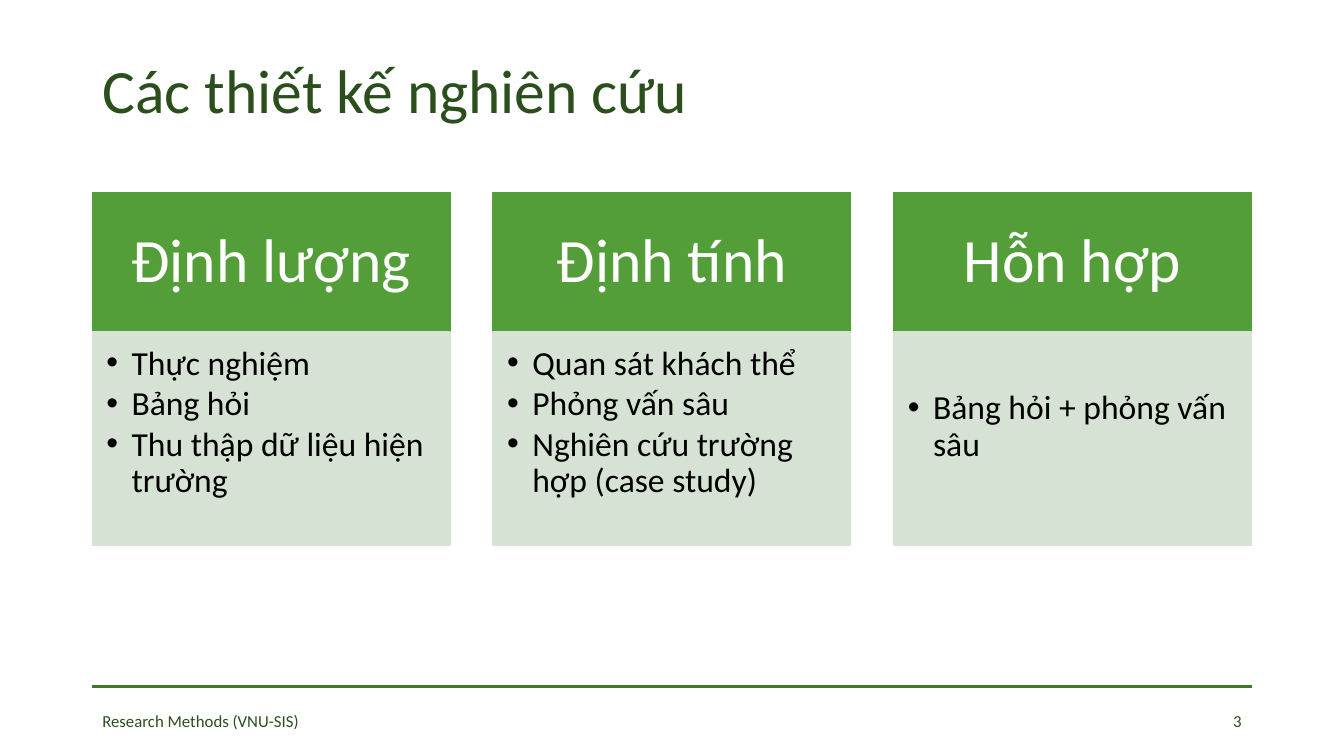
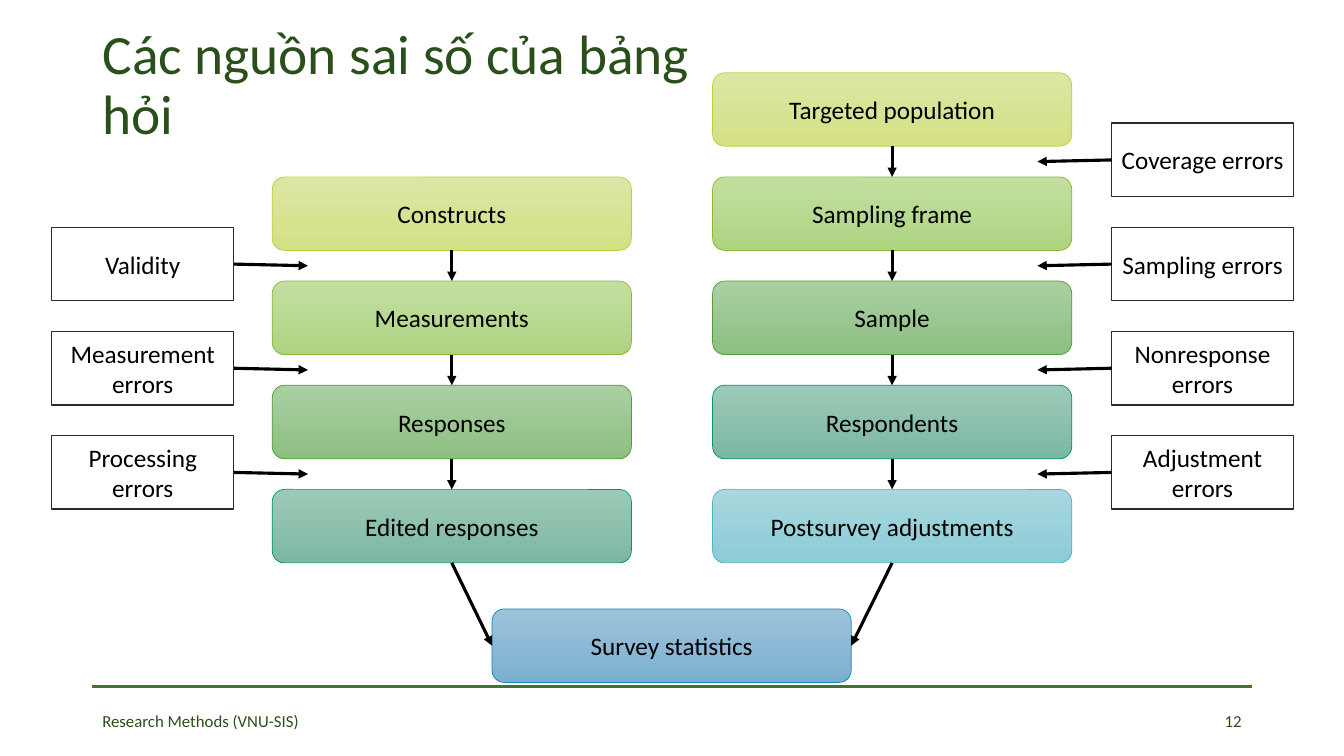
"""Build two slides on research designs and sources of survey error."""
from lxml import etree
from pptx import Presentation
from pptx.dml.color import RGBColor
from pptx.enum.shapes import MSO_CONNECTOR, MSO_SHAPE
from pptx.enum.text import MSO_ANCHOR, MSO_AUTO_SIZE, PP_ALIGN
from pptx.oxml.ns import qn
from pptx.util import Pt

RECT, ROUNDED = MSO_SHAPE.RECTANGLE, MSO_SHAPE.ROUNDED_RECTANGLE
STRAIGHT = MSO_CONNECTOR.STRAIGHT
LEFT, CENTER, RIGHT = PP_ALIGN.LEFT, PP_ALIGN.CENTER, PP_ALIGN.RIGHT
TOP, MIDDLE = MSO_ANCHOR.TOP, MSO_ANCHOR.MIDDLE
NO_AUTOFIT = MSO_AUTO_SIZE.NONE
TOP_SITE, LEFT_SITE, BOTTOM_SITE, RIGHT_SITE = range(4)

FONT = "Calibri"
COLORS = {
    "heading": "2A4F1C", "rule": "3F762B", "header": "549E39", "panel": "D6E2D3",
    "white": "FFFFFF", "black": "000000", "error_border": "223028",
}
NODE_COLORS = {
    "lime": ("DDE6A6", "D4E084", "C0CF3A"),
    "light_green": ("C2DFA1", "AED481", "8AB833"),
    "green": ("AACFA2", "8DBF82", "549E39"),
    "teal": ("9DCAB8", "7CB7A1", "029676"),
    "aqua": ("AAD7DF", "8ACCD7", "4AB5C4"),
    "blue": ("9DC3DC", "7CAFCF", "0989B1"),
}
MARGIN, CONTENT_W = 66, 828


def write(shape, text, size, color, align=CENTER, anchor=MIDDLE, spacing=1.0):
    """Put formatted text into a shape."""
    frame = shape.text_frame
    frame.text = text
    frame.word_wrap = True
    frame.auto_size = NO_AUTOFIT
    frame.vertical_anchor = anchor
    for paragraph in frame.paragraphs:
        paragraph.alignment = align
        paragraph.line_spacing = spacing
        for run in paragraph.runs:
            run.font.name = FONT
            run.font.size = Pt(size)
            run.font.color.rgb = RGBColor.from_string(color)


def add_box(slide, kind, box, fills, border, border_width):
    """Add a shape with no fill, a solid fill or a vertical gradient."""
    shape = slide.shapes.add_shape(kind, *map(Pt, box))
    shape.shadow.inherit = False
    if len(fills) == 2:
        shape.fill.gradient()
        shape.fill.gradient_angle = 270
        for stop, color in zip(shape.fill.gradient_stops, fills):
            stop.color.rgb = RGBColor.from_string(color)
    elif fills:
        shape.fill.solid()
        shape.fill.fore_color.rgb = RGBColor.from_string(fills[0])
    else:
        shape.fill.background()
    shape.line.color.rgb = RGBColor.from_string(border)
    shape.line.width = Pt(border_width)
    return shape


prs = Presentation()
prs.slide_width, prs.slide_height = Pt(960), Pt(540)
title_only = prs.slide_layouts[5]

pages = [
    ("Các thiết kế nghiên cứu", 44, (MARGIN, 29, CONTENT_W, 75), "3"),
    ("Các nguồn sai số của bảng hỏi", 39.6, (MARGIN, 12, 443, 99.5), "12"),
]
for heading, heading_size, heading_box, number in pages:
    slide = prs.slides.add_slide(title_only)
    title = slide.shapes.title
    title.left, title.top, title.width, title.height = map(Pt, heading_box)
    write(title, heading, heading_size, COLORS["heading"], LEFT, spacing=0.9)

    rule = slide.shapes.add_connector(
        STRAIGHT, Pt(MARGIN), Pt(490.5), Pt(MARGIN + CONTENT_W), Pt(490.5))
    rule.line.color.rgb = RGBColor.from_string(COLORS["rule"])
    rule.line.width = Pt(2.25)
    etree.SubElement(rule._element.spPr, qn("a:effectLst"))

    for text, left, width, align in (("Research Methods (VNU-SIS)", MARGIN, 181, LEFT),
                                     (number, 678, 216, RIGHT)):
        footer = slide.shapes.add_textbox(Pt(left), Pt(500.5), Pt(width), Pt(28.75))
        write(footer, text, 12, COLORS["heading"], align)

designs_slide, errors_slide = prs.slides

COLUMN_W = 255.5
COLUMN_STEP = (CONTENT_W - COLUMN_W) / 2
designs = [
    ("Định lượng", ["Thực nghiệm", "Bảng hỏi", "Thu thập dữ liệu hiện trường"], 10),
    ("Định tính", ["Quan sát khách thể", "Phỏng vấn sâu",
                   "Nghiên cứu trường hợp (case study)"], 10),
    ("Hỗn hợp", ["Bảng hỏi + phỏng vấn sâu"], 42),
]
for column, (design, methods, inset_top) in enumerate(designs):
    left = MARGIN + column * COLUMN_STEP
    header = add_box(designs_slide, RECT, (left, 137.5, COLUMN_W, 99.75),
                     [COLORS["header"]], COLORS["header"], 1)
    write(header, design, 44, COLORS["white"], spacing=0.9)

    panel = add_box(designs_slide, RECT, (left, 237.25, COLUMN_W, 152),
                    [COLORS["panel"]], COLORS["panel"], 1)
    write(panel, "\n".join(methods), 24, COLORS["black"], LEFT, TOP, 0.9)
    frame = panel.text_frame
    frame.margin_left, frame.margin_right = Pt(10), Pt(13.5)
    frame.margin_top, frame.margin_bottom = Pt(inset_top), Pt(15)
    for paragraph in frame.paragraphs:
        paragraph.space_after = Pt(3)
        properties = paragraph._p.get_or_add_pPr()
        properties.set("marL", str(Pt(18)))
        properties.set("indent", str(-Pt(18)))
        etree.SubElement(properties, qn("a:buFont"), typeface="Arial")
        etree.SubElement(properties, qn("a:buChar"), char="•")

NODE_W, NODE_H, ROW_STEP = 256.5, 52.5, 74.4
FIRST_ROW, FIRST_ERROR = 52, 88
ERROR_W, ERROR_ARROW = 130, 53
ARROW_OFFSET = (ROW_STEP + NODE_H) / 2

measurement_steps = [("Constructs", "lime"), ("Measurements", "light_green"),
                     ("Responses", "green"), ("Edited responses", "teal")]
sampling_steps = [("Targeted population", "lime"), ("Sampling frame", "light_green"),
                  ("Sample", "green"), ("Respondents", "teal"),
                  ("Postsurvey adjustments", "aqua")]
measurement_errors = ["Validity", "Measurement errors", "Processing\nerrors"]
sampling_errors = ["Coverage errors", "Sampling errors", "Nonresponse errors",
                   "Adjustment errors"]
branches = [
    (measurement_steps, 194.5, 1, measurement_errors, 37, RIGHT_SITE, LEFT_SITE),
    (sampling_steps, 509, 0, sampling_errors, 794, LEFT_SITE, RIGHT_SITE),
]

start, end, border = NODE_COLORS["blue"]
statistics = add_box(errors_slide, ROUNDED, (351.5, 435, NODE_W, NODE_H),
                     (start, end), border, 0.5)
write(statistics, "Survey statistics", 18, COLORS["black"])

arrows = []
for steps, node_left, start_row, errors, error_left, error_site, statistics_site in branches:
    previous = None
    for row, (step, palette) in enumerate(steps, start_row):
        start, end, border = NODE_COLORS[palette]
        node = add_box(errors_slide, ROUNDED,
                       (node_left, FIRST_ROW + row * ROW_STEP, NODE_W, NODE_H),
                       (start, end), border, 0.5)
        write(node, step, 18, COLORS["black"])
        if previous:
            arrow = errors_slide.shapes.add_connector(STRAIGHT, 0, 0, 0, 0)
            arrow.begin_connect(previous, BOTTOM_SITE)
            arrow.end_connect(node, TOP_SITE)
            arrows.append(arrow)
        previous = node

    arrow = errors_slide.shapes.add_connector(STRAIGHT, 0, 0, 0, 0)
    arrow.begin_connect(previous, BOTTOM_SITE)
    arrow.end_connect(statistics, statistics_site)
    arrows.append(arrow)

    for row, error in enumerate(errors, start_row):
        source = add_box(errors_slide, RECT,
                         (error_left, FIRST_ERROR + row * ROW_STEP, ERROR_W, NODE_H),
                         (), COLORS["error_border"], 1)
        write(source, error, 18, COLORS["black"])
        if error_site == RIGHT_SITE:
            tip = error_left + ERROR_W + ERROR_ARROW
        else:
            tip = error_left - ERROR_ARROW
        tip_top = FIRST_ROW + row * ROW_STEP + ARROW_OFFSET
        arrow = errors_slide.shapes.add_connector(
            STRAIGHT, Pt(tip), Pt(tip_top), Pt(tip), Pt(tip_top))
        arrow.begin_connect(source, error_site)
        arrows.append(arrow)

for arrow in arrows:
    arrow.line.color.rgb = RGBColor.from_string(COLORS["black"])
    arrow.line.width = Pt(2.25)
    etree.SubElement(arrow.line._get_or_add_ln(), qn("a:tailEnd"), type="triangle")
    etree.SubElement(arrow._element.spPr, qn("a:effectLst"))

prs.save("out.pptx")
